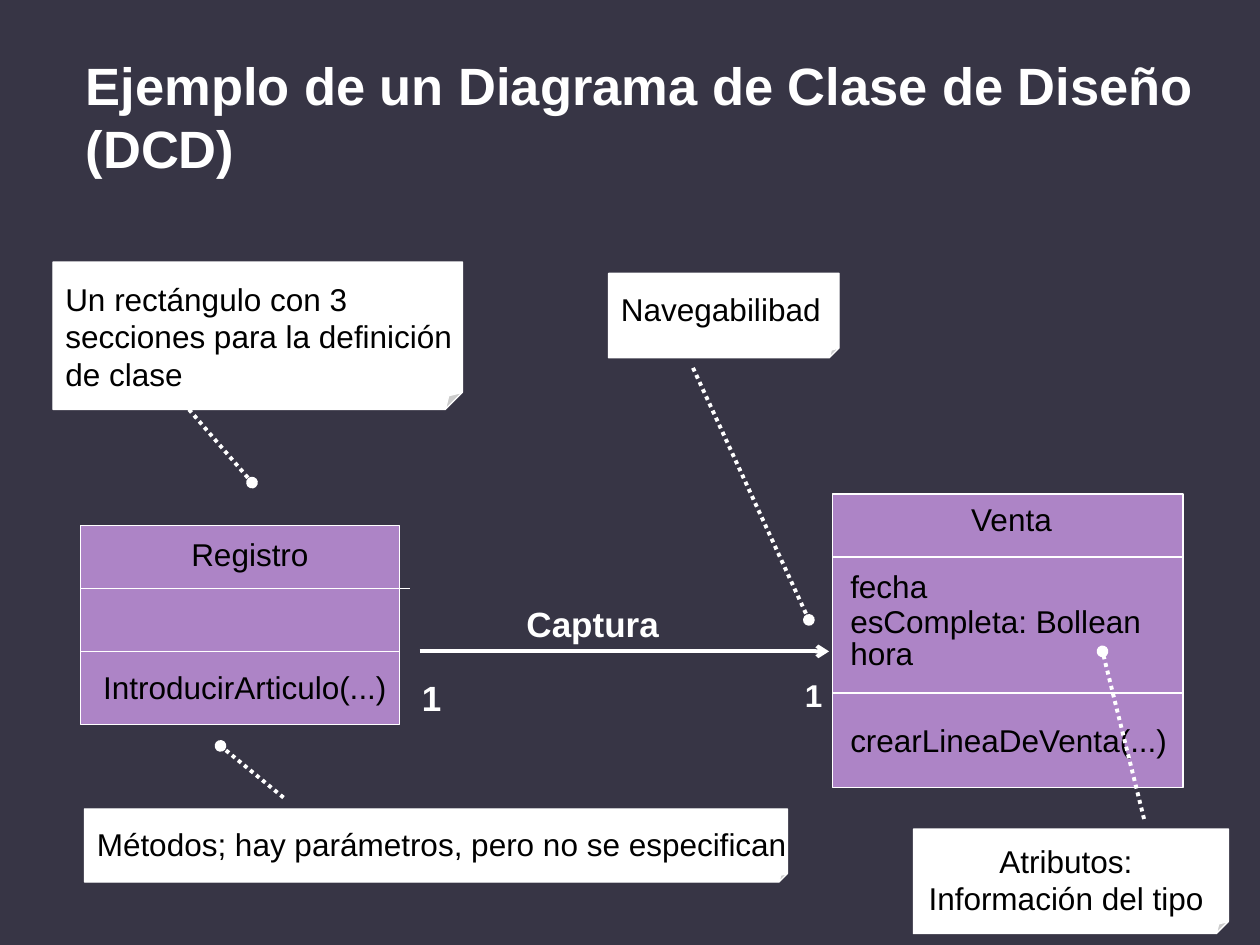
import pptx
import pptx.dml.color
import pptx.enum.dml
import pptx.enum.shapes
import pptx.enum.text
import pptx.oxml
import pptx.oxml.ns
import pptx.util
from pptx.util import Inches, Pt

RGBColor = pptx.dml.color.RGBColor
SHAPES = pptx.enum.shapes.MSO_SHAPE
ALIGN = pptx.enum.text.PP_ALIGN
AUTO_SIZE = pptx.enum.text.MSO_AUTO_SIZE
DASH = pptx.enum.dml.MSO_LINE

BACKGROUND = RGBColor(0x37, 0x35, 0x45)
PURPLE = RGBColor(0xAD, 0x84, 0xC6)
WHITE = RGBColor(0xFF, 0xFF, 0xFF)
BLACK = RGBColor(0, 0, 0)
FONT = "Arial"

TITLE = "Ejemplo de un Diagrama de Clase de Diseño (DCD)"

# Lengths are inches; boxes are (left, top, width, height).
CLASSES = [
    {
        "box": (0.64, 4.17, 2.53, 1.58),
        "dividers": [(4.67, 3.25), (5.17, 3.17)],  # (y, right end)
        "labels": [
            (["Registro"], (1.42, 4.2, 1.13, 0.4), False),
            (["IntroducirArticulo(...)"], (0.72, 5.25, 2.45, 0.4), False),
        ],
    },
    {
        "box": (6.61, 3.92, 2.78, 2.33),
        "dividers": [(4.42, 9.4), (5.5, 9.4)],
        "labels": [
            (["Venta"], (7.61, 3.92, 0.85, 0.4), False),
            (["fecha", "esCompleta: Bollean", "hora"], (6.65, 4.45, 3.6, 0.94), True),
            (["crearLineaDeVenta(...)"], (6.65, 5.67, 2.73, 0.4), False),
        ],
    },
]

ASSOCIATION = ((3.33, 5.17), (6.58, 5.17))
ASSOCIATION_LABELS = [  # text, box, size
    ("Captura", (4.08, 4.73, 1.25, 0.43), 20),
    ("1", (6.29, 5.32, 0.34, 0.4), 18),
    ("1", (3.25, 5.32, 0.36, 0.43), 20),
]

NOTES = [  # text, note box, text box, alignment, pointer start, pointer end
    ("Un rectángulo con 3 secciones para la definición de clase",
     (0.42, 2.08, 3.25, 1.17), (0.42, 2.17, 3.33, 1), ALIGN.LEFT, (1.5, 3.25), (2, 3.83)),
    ("Métodos; hay parámetros, pero no se especifican",
     (0.67, 6.42, 5.58, 0.58), (0.67, 6.5, 5.92, 0.4), ALIGN.LEFT, (2.25, 6.33), (1.75, 5.92)),
    ("Navegabilibad",
     (4.83, 2.17, 1.83, 0.67), (4.83, 2.25, 1.92, 0.4), ALIGN.LEFT, (5.5, 2.92), (6.42, 4.92)),
    ("Atributos: Información del tipo",
     (7.25, 6.58, 2.5, 0.83), (7.25, 6.63, 2.42, 0.7), ALIGN.CENTER, (9.08, 6.5), (8.75, 5.17)),
]


def inches(values):
    return [Inches(value) for value in values]


def drawing_element(tag, attributes=""):
    return pptx.oxml.parse_xml(f'<a:{tag} {pptx.oxml.ns.nsdecls("a")} {attributes}/>')


def set_font(para, size, color, bold=False):
    para.font.name = FONT
    para.font.size = Pt(size)
    para.font.bold = bold
    para.font.color.rgb = color


def add_text(slide, lines, box, size=18, color=BLACK, bold=False, wrap=True, align=ALIGN.LEFT):
    frame = slide.shapes.add_textbox(*inches(box)).text_frame
    frame.word_wrap = wrap
    frame.auto_size = AUTO_SIZE.SHAPE_TO_FIT_TEXT
    frame.text = "\n".join(lines)
    for index, para in enumerate(frame.paragraphs):
        para.alignment = align
        set_font(para, size, color, bold)
        if index:
            para.line_spacing = 0.4
            para.space_before = Pt(9.5)


def add_shape(slide, kind, box, fill):
    shape = slide.shapes.add_shape(kind, *inches(box))
    shape.shadow.inherit = False
    shape.fill.solid()
    shape.fill.fore_color.rgb = fill
    shape.line.color.rgb = WHITE
    shape.line.width = Pt(0.75)
    return shape


def add_line(slide, start, end, width=0.75, dash=None, tail=None):
    line = slide.shapes.add_connector(
        pptx.enum.shapes.MSO_CONNECTOR.STRAIGHT, *inches(start + end))
    line.line.color.rgb = WHITE
    line.line.width = Pt(width)
    if dash:
        line.line.dash_style = dash
    properties = line._element.spPr
    if tail:
        outline = properties.find(pptx.oxml.ns.qn("a:ln"))
        outline.append(drawing_element("tailEnd", f'type="{tail}"'))
    properties.append(drawing_element("effectLst"))


def add_title(slide):
    title = slide.shapes.title
    title.left, title.top, title.width, title.height = inches((0.58, -0.08, 9.08, 1.55))
    frame = title.text_frame
    frame.text = TITLE
    frame.word_wrap = True
    frame.auto_size = AUTO_SIZE.NONE
    frame.vertical_anchor = pptx.enum.text.MSO_ANCHOR.BOTTOM
    para = frame.paragraphs[0]
    para.alignment = ALIGN.LEFT
    set_font(para, 30, WHITE, bold=True)


def add_class(slide, content):
    add_shape(slide, SHAPES.RECTANGLE, content["box"], PURPLE)
    left = content["box"][0]
    for y, right in content["dividers"]:
        add_line(slide, (left, y), (right, y))
    for lines, box, wrap in content["labels"]:
        add_text(slide, lines, box, wrap=wrap)


def add_note(slide, text, box, text_box, align, start, end):
    note = add_shape(slide, SHAPES.FOLDED_CORNER, box, WHITE)
    geometry = note._element.spPr.find(pptx.oxml.ns.qn("a:prstGeom"))
    adjustments = geometry.find(pptx.oxml.ns.qn("a:avLst"))
    adjustments.append(drawing_element("gd", 'name="adj" fmla="val 11600"'))
    add_text(slide, [text], text_box, align=align)
    add_line(slide, start, end, 2.25, DASH.ROUND_DOT, "oval")


def main():
    deck = pptx.Presentation()
    deck.slide_width, deck.slide_height = Inches(10), Inches(7.5)
    slide = deck.slides.add_slide(deck.slide_layouts[5])
    slide.background.fill.solid()
    slide.background.fill.fore_color.rgb = BACKGROUND
    add_title(slide)
    for content in CLASSES:
        add_class(slide, content)
    add_line(slide, *ASSOCIATION, width=2.25, tail="arrow")
    for text, box, size in ASSOCIATION_LABELS:
        add_text(slide, [text], box, size, WHITE, bold=True, wrap=False)
    for note in NOTES:
        add_note(slide, *note)
    deck.save("out.pptx")


if __name__ == "__main__":
    main()
